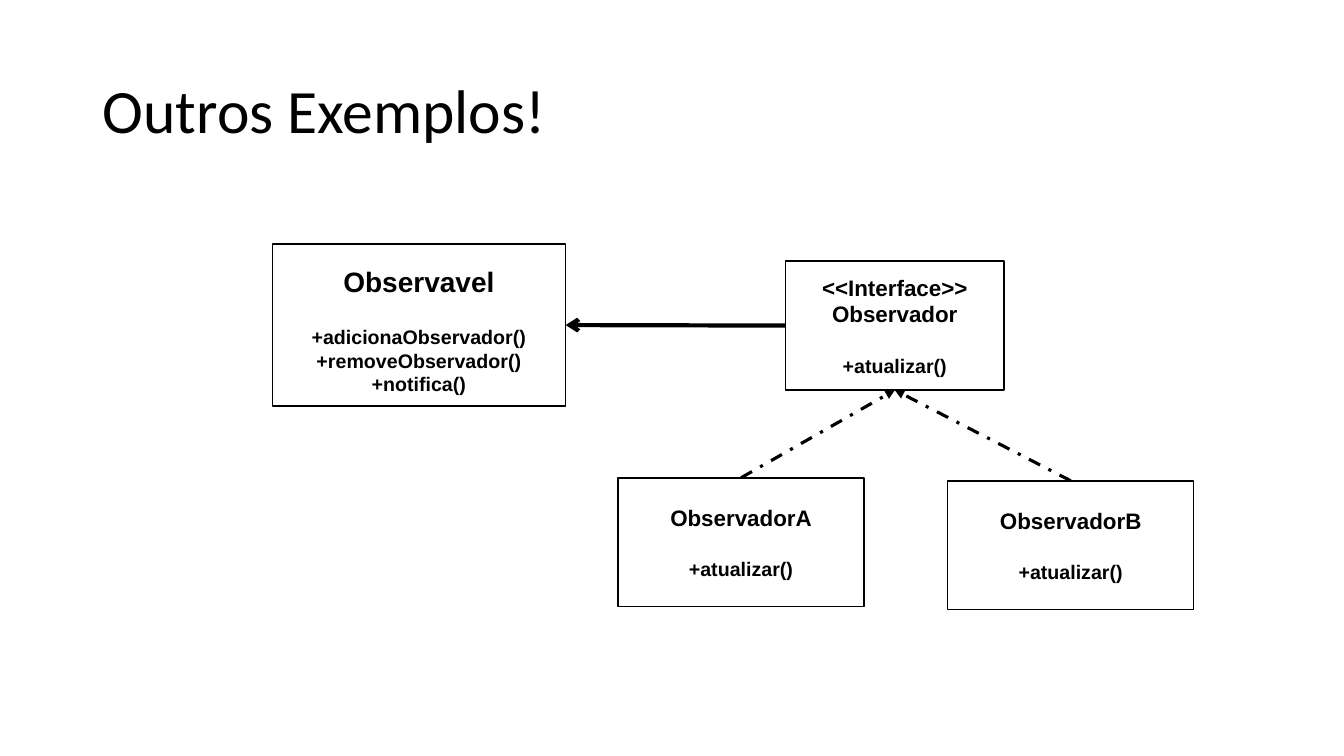
from lxml import etree
from pptx import Presentation
from pptx.dml.color import RGBColor
from pptx.enum import dml, shapes, text
from pptx.oxml import ns
from pptx.util import Inches, Pt

COLORS = {"ink": "000000", "paper": "FFFFFF"}
INK = RGBColor.from_string(COLORS["ink"])
PAPER = RGBColor.from_string(COLORS["paper"])


def write(paragraph, content, size, font="Arial", bold=True,
          align=text.PP_ALIGN.CENTER, before=0, spacing=1.0):
    paragraph.alignment = align
    paragraph.space_before = Pt(before)
    paragraph.line_spacing = spacing
    run = paragraph.add_run()
    run.text = content
    run.font.size = Pt(size)
    run.font.name = font
    run.font.bold = bold
    run.font.color.rgb = INK


prs = Presentation()
prs.slide_width = Inches(13.33)
prs.slide_height = Inches(7.5)
slide = prs.slides.add_slide(prs.slide_layouts[5])

heading = slide.shapes.title
heading.left, heading.top = Inches(0.92), Inches(0.4)
heading.width, heading.height = Inches(11.5), Inches(1.45)
heading.text_frame.vertical_anchor = text.MSO_ANCHOR.MIDDLE
write(heading.text_frame.paragraphs[0], "Outros Exemplos!", 44, font="Calibri",
      bold=False, align=text.PP_ALIGN.LEFT, spacing=0.9)

classes = [
    ("observable", (2.7, 2.42, 2.91, 1.61), 0.15, 20, ["Observavel"],
     ["+adicionaObservador()", "+removeObservador()", "+notifica()"]),
    ("observer", (7.79, 2.59, 2.17, 1.28), 0.05, 16,
     ["<<Interface>>", "Observador"], ["+atualizar()"]),
    ("observer_a", (6.13, 4.74, 2.44, 1.28), 0.05, 16,
     ["ObservadorA"], ["+atualizar()"]),
    ("observer_b", (9.4, 4.77, 2.44, 1.28), 0.05, 16,
     ["ObservadorB"], ["+atualizar()"]),
]
boxes = {}
for key, place, top_inset, name_size, names, methods in classes:
    box = slide.shapes.add_shape(shapes.MSO_SHAPE.RECTANGLE, *map(Inches, place))
    box.shadow.inherit = False
    box.fill.solid()
    box.fill.fore_color.rgb = PAPER
    box.line.color.rgb = INK
    box.line.width = Pt(1)
    frame = box.text_frame
    frame.word_wrap = True
    frame.vertical_anchor = text.MSO_ANCHOR.MIDDLE
    frame.margin_top = Inches(top_inset)
    lines = [(name, name_size, 0) for name in names]
    lines += [(method, 14, 0 if i else 19) for i, method in enumerate(methods)]
    for i, (content, size, before) in enumerate(lines):
        paragraph = frame.add_paragraph() if i else frame.paragraphs[0]
        write(paragraph, content, size, before=before)
    boxes[key] = box

TOP, LEFT, BOTTOM, RIGHT = range(4)
relations = [
    ("observer", LEFT, "observable", RIGHT, 3, None, "arrow"),
    ("observer_a", TOP, "observer", BOTTOM, 2.25, dml.MSO_LINE.DASH_DOT, "triangle"),
    ("observer_b", TOP, "observer", BOTTOM, 2.25, dml.MSO_LINE.DASH_DOT, "triangle"),
]
for source, source_side, target, target_side, width, dash, head in relations:
    relation = slide.shapes.add_connector(shapes.MSO_CONNECTOR.STRAIGHT, 0, 0, 0, 0)
    relation.begin_connect(boxes[source], source_side)
    relation.end_connect(boxes[target], target_side)
    relation.line.color.rgb = INK
    relation.line.width = Pt(width)
    if dash:
        relation.line.dash_style = dash
    properties = relation._element.spPr
    outline = properties.find(ns.qn("a:ln"))
    etree.SubElement(outline, ns.qn("a:tailEnd"), type=head)
    etree.SubElement(properties, ns.qn("a:effectLst"))

prs.save("out.pptx")
